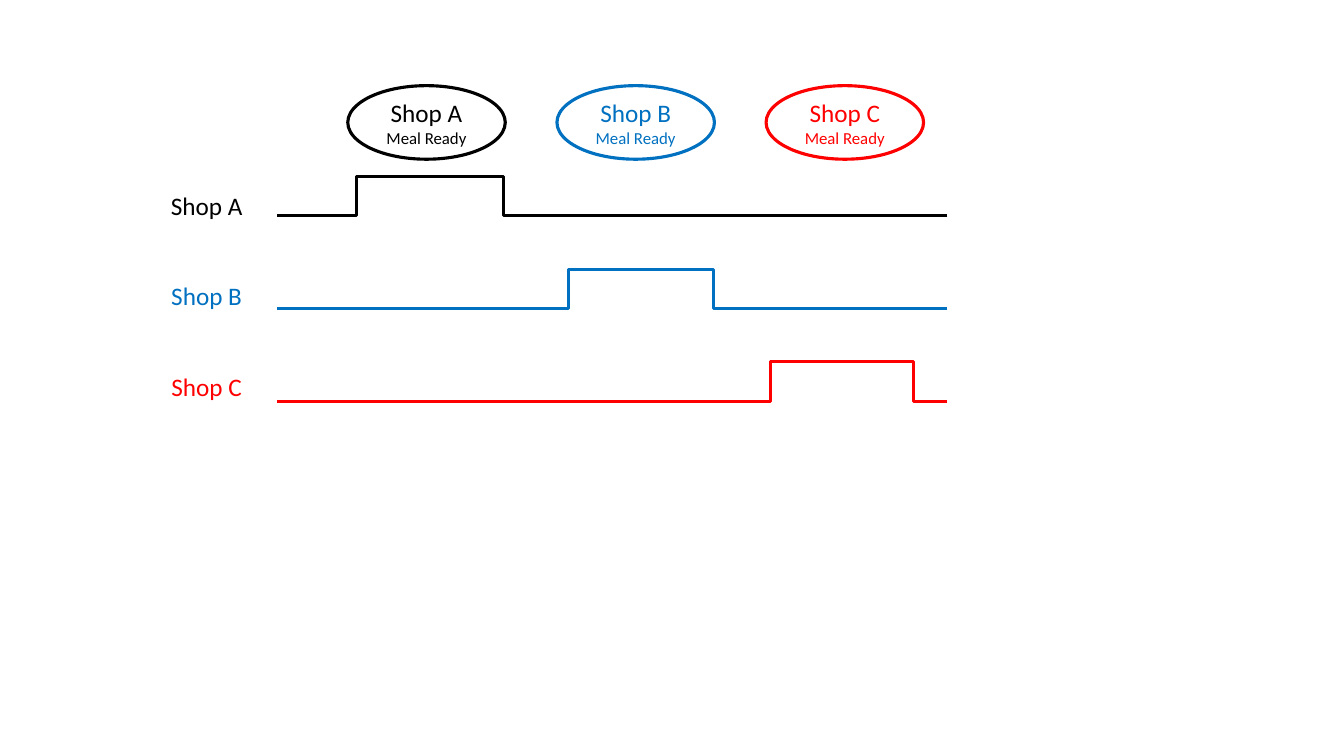
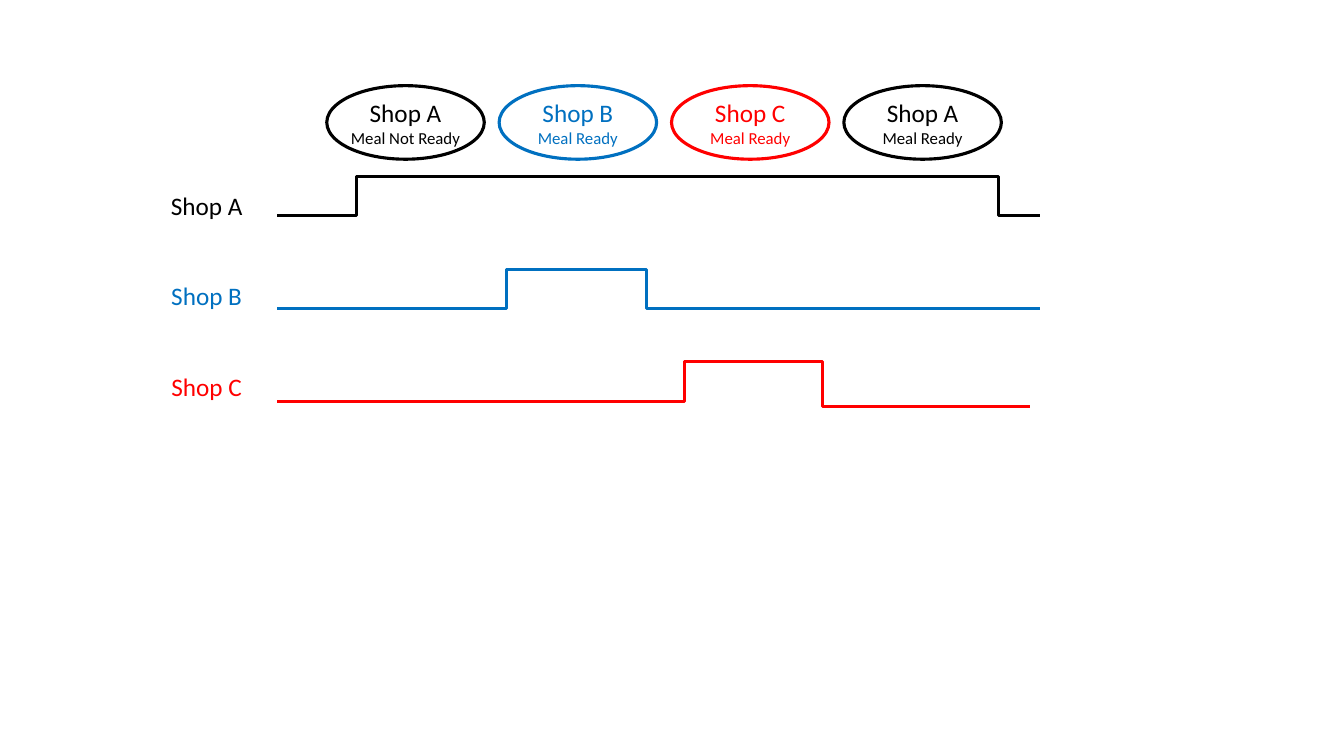
from dataclasses import dataclass
from pptx import Presentation
from pptx.dml.color import RGBColor
from pptx.enum.shapes import MSO_CONNECTOR, MSO_SHAPE
from pptx.enum.text import MSO_ANCHOR as Anchor, MSO_AUTO_SIZE as AutoSize, PP_ALIGN as Align
from pptx.oxml.ns import qn
from pptx.slide import Slide
from pptx.text.text import TextFrame
from pptx.util import Emu, Pt
from lxml.etree import SubElement


@dataclass(frozen=True)
class Theme:
    font: str = "Calibri"
    shop_size: float = 18
    status_size: float = 12
    stroke: float = 2.25
    paper: str = "FFFFFF"


@dataclass(frozen=True)
class Grid:
    columns: int = 160
    rows: int = 90
    cell: int = 76200

    def length(self, cells: float) -> Emu:
        return Emu(round(cells * self.cell))

    def lengths(self, *cells: float) -> list[Emu]:
        return [self.length(count) for count in cells]


@dataclass(frozen=True)
class Shop:
    name: str
    color: str
    row: int


@dataclass(frozen=True)
class Event:
    shop: Shop
    status: str = "Meal Ready"


@dataclass(frozen=True)
class Signal:
    shop: Shop
    rise: float
    fall: float
    end: float
    rise_crest: float
    fall_crest: float
    drop: float = 4.68


@dataclass(frozen=True)
class Timeline:
    first_event: float
    event_pitch: float
    events: list[Event]
    signals: list[Signal]


THEME = Theme()
GRID = Grid()
EVENT_TOP, EVENT_WIDTH, EVENT_HEIGHT = 10.2, 18.75, 8.76
SIGNAL_LEFT, SIGNAL_TOP, SIGNAL_PITCH, RISE_HEIGHT = 33, 21, 11.04, 4.68
LABEL_LEFT, LABEL_TOP, LABEL_PITCH = 19.1, 22.08, 10.74
LABEL_WIDTH, LABEL_HEIGHT = 11, 4.85

SHOP_A = Shop("Shop A", "000000", 0)
SHOP_B = Shop("Shop B", "0070C0", 1)
SHOP_C = Shop("Shop C", "FF0000", 2)
SHOPS = [SHOP_A, SHOP_B, SHOP_C]

TIMELINES = [
    Timeline(
        41.4, 24.9,
        [Event(shop) for shop in SHOPS],
        [
            Signal(SHOP_A, 42.4, 60, 112.8, 51.8, 51.8),
            Signal(SHOP_B, 67.7, 85, 112.8, 74.8, 73.4),
            Signal(SHOP_C, 91.7, 108.8, 112.8, 102.5, 102.4),
        ],
    ),
    Timeline(
        38.9, 20.52,
        [Event(SHOP_A, "Meal Not Ready"), Event(SHOP_B), Event(SHOP_C), Event(SHOP_A)],
        [
            Signal(SHOP_A, 42.4, 118.9, 123.8, 51.8, 51.8),
            Signal(SHOP_B, 60.3, 77, 123.8, 74.8, 73.4),
            Signal(SHOP_C, 81.5, 97.9, 122.6, 91, 91, drop=5.35),
        ],
    ),
]


def write_lines(frame: TextFrame, lines: list[tuple[str, float]], color: str) -> None:
    frame.text = "\n".join(text for text, _ in lines)
    for paragraph, (_, size) in zip(frame.paragraphs, lines):
        paragraph.alignment = Align.CENTER
        paragraph.font.name = THEME.font
        paragraph.font.size = Pt(size)
        paragraph.font.color.rgb = RGBColor.from_string(color)


def draw_event(slide: Slide, event: Event, left: float) -> None:
    oval = slide.shapes.add_shape(
        MSO_SHAPE.OVAL, *GRID.lengths(left, EVENT_TOP, EVENT_WIDTH, EVENT_HEIGHT)
    )
    oval.shadow.inherit = False
    oval.fill.solid()
    oval.fill.fore_color.rgb = RGBColor.from_string(THEME.paper)
    oval.line.color.rgb = RGBColor.from_string(event.shop.color)
    oval.line.width = Pt(THEME.stroke)
    frame = oval.text_frame
    frame.margin_left = frame.margin_right = frame.margin_top = frame.margin_bottom = 0
    frame.vertical_anchor = Anchor.MIDDLE
    write_lines(
        frame,
        [(event.shop.name, THEME.shop_size), (event.status, THEME.status_size)],
        event.shop.color,
    )


def draw_step(
    slide: Slide, start: tuple[float, float], end: tuple[float, float], bend: float, color: str
) -> None:
    step = slide.shapes.add_connector(MSO_CONNECTOR.ELBOW, *GRID.lengths(*start, *end))
    step.line.color.rgb = RGBColor.from_string(color)
    step.line.width = Pt(THEME.stroke)
    properties = step._element.spPr
    SubElement(properties, qn("a:effectLst"))
    adjustments = properties.find(qn("a:prstGeom")).get_or_add_avLst()
    share = (start[0] - bend) / (start[0] - end[0])
    SubElement(adjustments, qn("a:gd"), name="adj1", fmla=f"val {round(share * 100000)}")


def draw_signal(slide: Slide, signal: Signal) -> None:
    high = SIGNAL_TOP + signal.shop.row * SIGNAL_PITCH
    color = signal.shop.color
    draw_step(
        slide, (signal.rise_crest, high), (SIGNAL_LEFT, high + RISE_HEIGHT), signal.rise, color
    )
    draw_step(
        slide, (signal.end, high + signal.drop), (signal.fall_crest, high), signal.fall, color
    )


def draw_label(slide: Slide, shop: Shop) -> None:
    top = LABEL_TOP + shop.row * LABEL_PITCH
    label = slide.shapes.add_textbox(*GRID.lengths(LABEL_LEFT, top, LABEL_WIDTH, LABEL_HEIGHT))
    label.text_frame.word_wrap = False
    label.text_frame.auto_size = AutoSize.SHAPE_TO_FIT_TEXT
    write_lines(label.text_frame, [(shop.name, THEME.shop_size)], shop.color)


def draw_timeline(slide: Slide, timeline: Timeline) -> None:
    for column, event in enumerate(timeline.events):
        draw_event(slide, event, timeline.first_event + column * timeline.event_pitch)
    for signal in timeline.signals:
        draw_signal(slide, signal)
    for shop in SHOPS:
        draw_label(slide, shop)


deck = Presentation()
deck.slide_width, deck.slide_height = GRID.lengths(GRID.columns, GRID.rows)
blank = deck.slide_layouts.get_by_name("Blank")
for timeline in TIMELINES:
    draw_timeline(deck.slides.add_slide(blank), timeline)
deck.save("out.pptx")
